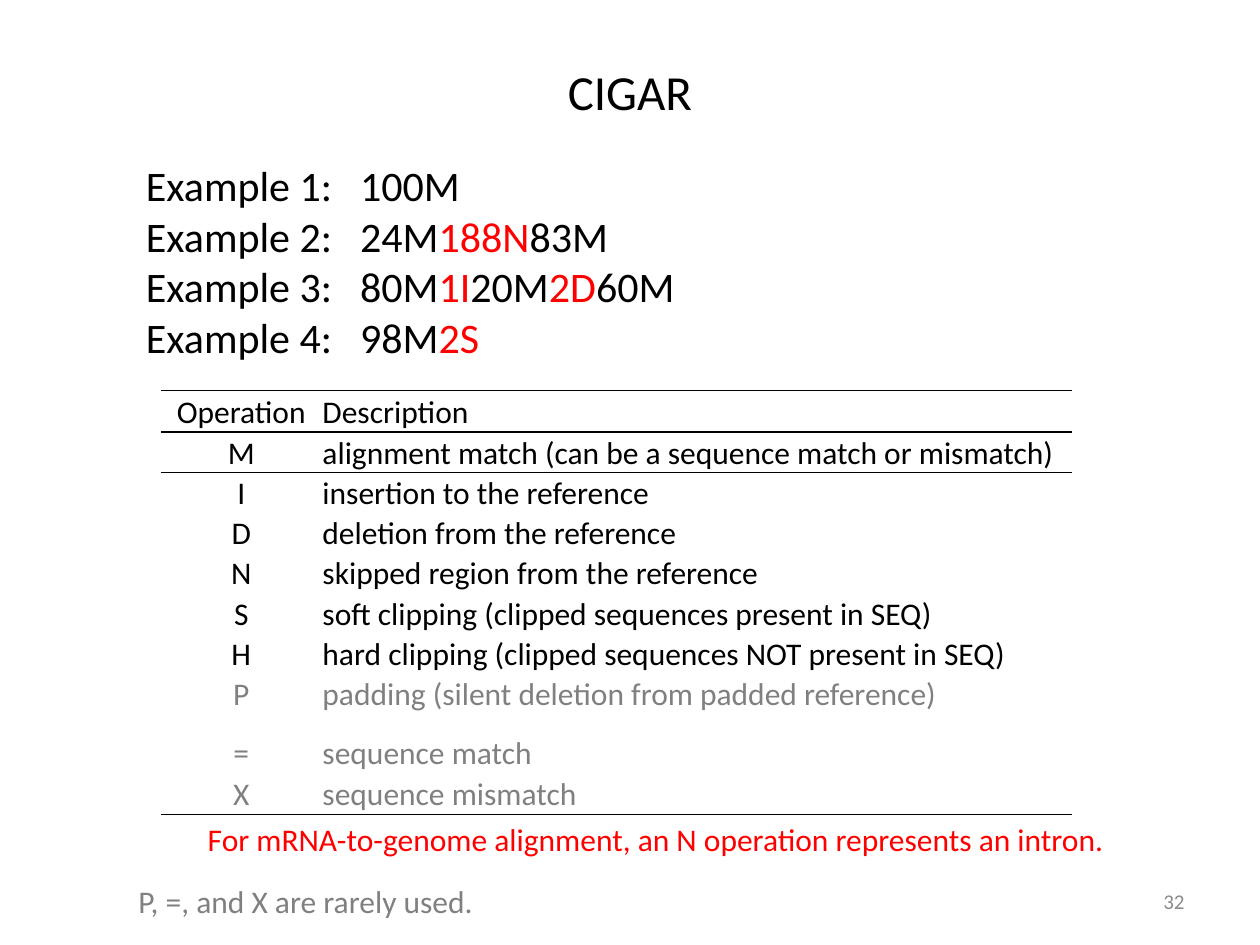
"""Build a slide that explains CIGAR strings and their operations."""
from lxml import etree
from pptx import Presentation
from pptx.dml.color import RGBColor
from pptx.enum.text import MSO_ANCHOR, PP_ALIGN
from pptx.oxml import parse_xml
from pptx.oxml.ns import nsdecls, qn
from pptx.util import Inches, Pt

LEFT, CENTER, RIGHT = PP_ALIGN.LEFT, PP_ALIGN.CENTER, PP_ALIGN.RIGHT
TOP, MIDDLE, BOTTOM = MSO_ANCHOR.TOP, MSO_ANCHOR.MIDDLE, MSO_ANCHOR.BOTTOM
TITLE_ONLY = 5
NO_TABLE_STYLE = "{2D5ABB26-0587-4C30-8999-92F81FD0307C}"
COLORS = {"text": "000000", "accent": "FF0000", "rare": "808080", "number": "8C8C8C"}

EXAMPLES = [
    [("Example 1:\t100M", "text")],
    [("Example 2:\t24M", "text"), ("188N", "accent"), ("83M", "text")],
    [("Example 3:\t80M", "text"), ("1I", "accent"), ("20M", "text"),
     ("2D", "accent"), ("60M", "text")],
    [("Example 4:\t98M", "text"), ("2S", "accent")],
]
OPERATIONS = [
    ("Operation", "Description"),
    ("M", "alignment match (can be a sequence match or mismatch)"),
    ("I", "insertion to the reference"),
    ("D", "deletion from the reference"),
    ("N", "skipped region from the reference"),
    ("S", "soft clipping (clipped sequences present in SEQ)"),
    ("H", "hard clipping (clipped sequences NOT present in SEQ)"),
    ("P", "padding (silent deletion from padded reference)"),
    ("=", "sequence match"),
    ("X", "sequence mismatch"),
]
RARE_OPERATIONS = {"P", "=", "X"}
COLUMN_WIDTHS = [1.27, 5.96]
ROW_HEIGHTS = [0.33] + [0.32] * 6 + [0.27, 0.47, 0.33]
RULES = {0: {"lnT": 0.5, "lnB": 1}, 1: {"lnT": 1}, 9: {"lnB": 1}}
CELL_FORMAT = {
    "vertical_anchor": BOTTOM,
    "margin_left": Inches(0.01),
    "margin_right": Inches(0.01),
    "margin_top": Inches(0.01),
    "margin_bottom": 0,
}


def apply_format(target, values):
    """Set each named attribute on the target."""
    for name, value in values.items():
        setattr(target, name, value)


def write_runs(paragraph, runs, size, alignment=LEFT, tab=None):
    """Fill a paragraph with coloured runs and an optional tab stop."""
    paragraph.alignment = alignment
    if tab:
        tabs = etree.SubElement(paragraph._p.get_or_add_pPr(), qn("a:tabLst"))
        etree.SubElement(tabs, qn("a:tab"), pos=str(Inches(tab)), algn="l")
    for text, color in runs:
        run = paragraph.add_run()
        run.text = text
        apply_format(run.font, {"name": "Calibri", "size": Pt(size), "bold": False})
        run.font.color.rgb = RGBColor.from_string(COLORS[color])


def place(shape, left, top, width, height):
    """Move and size a shape in inches."""
    apply_format(shape, {"left": Inches(left), "top": Inches(top),
                         "width": Inches(width), "height": Inches(height)})


def add_title(slide, text):
    """Fill and place the title placeholder."""
    title = slide.shapes.title
    place(title, 0.5, 0.3, 9, 0.85)
    title.text_frame.vertical_anchor = MIDDLE
    write_runs(title.text_frame.paragraphs[0], [(text, "text")], 28, CENTER)


def add_text(slide, box, lines, size, alignment=LEFT, anchor=TOP, tab=None):
    """Add a text box with one paragraph for each line of runs."""
    frame = slide.shapes.add_textbox(*map(Inches, box)).text_frame
    apply_format(frame, {"word_wrap": True, "vertical_anchor": anchor})
    for index, runs in enumerate(lines):
        paragraph = frame.add_paragraph() if index else frame.paragraphs[0]
        write_runs(paragraph, runs, size, alignment, tab)


def draw_rules(cell, rules):
    """Draw the given horizontal borders of a cell."""
    properties = cell._tc.get_or_add_tcPr()
    for index, (side, width) in enumerate(rules.items()):
        properties.insert(index, parse_xml(
            f'<a:{side} {nsdecls("a")} w="{Pt(width)}"><a:solidFill>'
            f'<a:srgbClr val="{COLORS["text"]}"/></a:solidFill></a:{side}>'))


def add_operations_table(slide):
    """Add the table of operations with its horizontal rules."""
    frame = slide.shapes.add_table(
        len(OPERATIONS), len(COLUMN_WIDTHS), Inches(1.28), Inches(3.1),
        Inches(sum(COLUMN_WIDTHS)), Inches(sum(ROW_HEIGHTS)))
    table = frame.table
    apply_format(table, {"first_row": False, "horz_banding": False})
    table._tbl.tblPr.find(qn("a:tableStyleId")).text = NO_TABLE_STYLE
    for column, width in zip(table.columns, COLUMN_WIDTHS):
        column.width = Inches(width)
    for row_index, (operation, height) in enumerate(zip(OPERATIONS, ROW_HEIGHTS)):
        table.rows[row_index].height = Inches(height)
        color = "rare" if operation[0] in RARE_OPERATIONS else "text"
        for column_index, text in enumerate(operation):
            cell = table.cell(row_index, column_index)
            apply_format(cell, CELL_FORMAT)
            cell.fill.background()
            draw_rules(cell, RULES.get(row_index, {}))
            write_runs(cell.text_frame.paragraphs[0], [(text, color)], 18,
                       LEFT if column_index else CENTER)


def main():
    """Build and save the slide."""
    presentation = Presentation()
    apply_format(presentation, {"slide_width": Inches(10), "slide_height": Inches(7.5)})
    slide = presentation.slides.add_slide(presentation.slide_layouts[TITLE_ONLY])
    add_title(slide, "CIGAR")
    add_operations_table(slide)
    add_text(slide, (1.55, 6.46, 7.45, 0.4), [[(
        "For mRNA-to-genome alignment, an N operation represents an intron.", "accent")]], 18)
    add_text(slide, (1, 6.95, 2.93, 0.4), [[("P, =, and X are rarely used.", "rare")]], 18)
    add_text(slide, (7.17, 6.95, 2.33, 0.4), [[("32", "number")]], 12, RIGHT, MIDDLE)
    add_text(slide, (1.06, 1.22, 4.45, 1.72), EXAMPLES, 24, tab=1.7)
    presentation.save("out.pptx")


if __name__ == "__main__":
    main()
